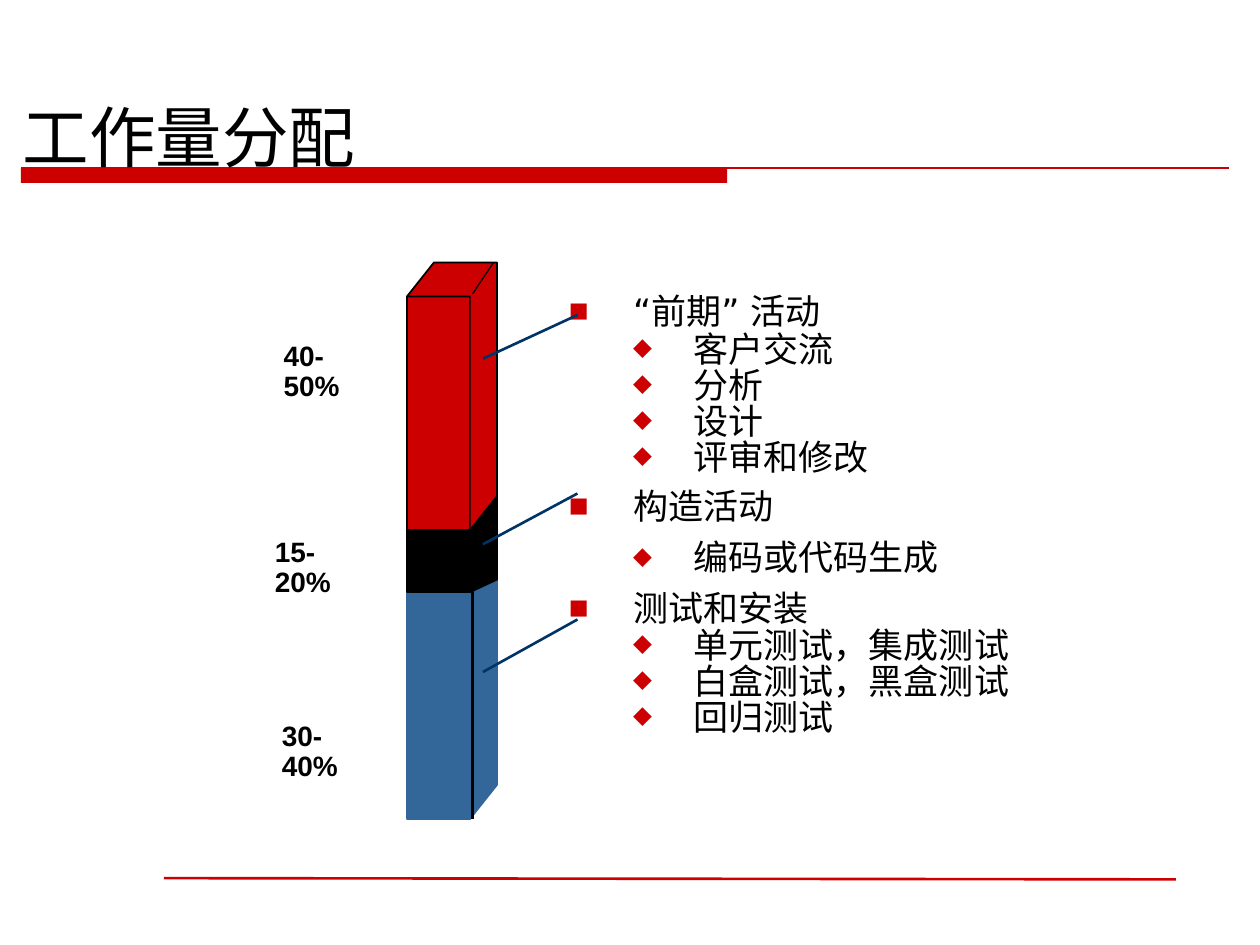
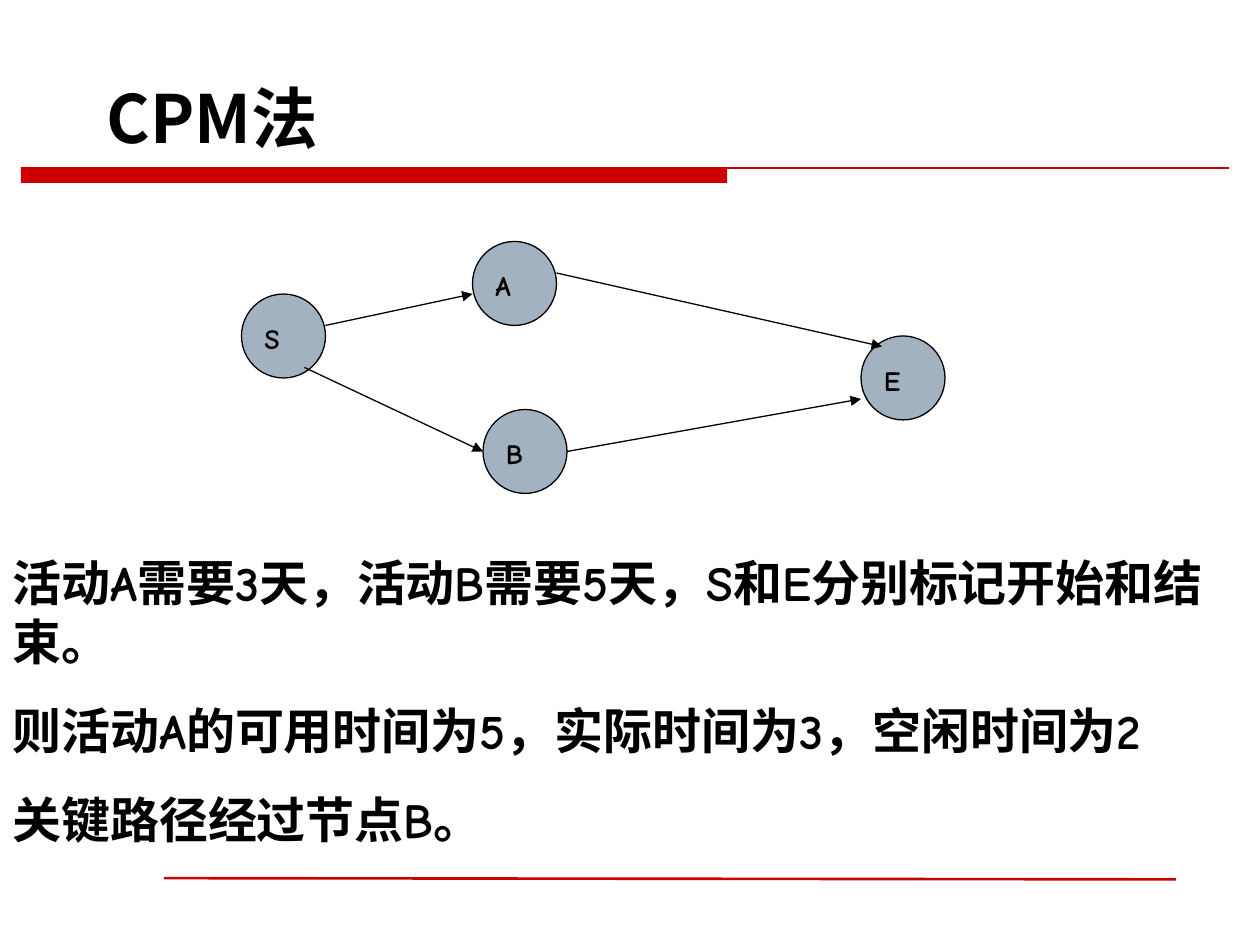
import pptx
import pptx.util
import pptx.dml.color
import pptx.enum.shapes
import pptx.enum.text
import pptx.oxml
import pptx.oxml.ns

Pt = pptx.util.Pt
RGB = pptx.dml.color.RGBColor.from_string
SHAPE = pptx.enum.shapes.MSO_SHAPE
ANCHOR = pptx.enum.text.MSO_ANCHOR
COLORS = {
    "red": "CC0000",
    "black": "000000",
    "blue": "336699",
    "navy": "003366",
    "node": "A3B2C1",
}
NAMESPACE = pptx.oxml.ns.nsdecls("a")


def add_text(slide, box, paragraphs, size, font, bold=False, wrap=True,
             anchor=ANCHOR.TOP, space_before=0, line_spacing=None):
    frame = slide.shapes.add_textbox(*[Pt(length) for length in box]).text_frame
    frame.word_wrap = wrap
    frame.vertical_anchor = anchor
    for index, words in enumerate(paragraphs):
        paragraph = frame.paragraphs[0] if index == 0 else frame.add_paragraph()
        if index and space_before:
            paragraph.space_before = Pt(space_before)
        if line_spacing:
            paragraph.line_spacing = line_spacing
        run = paragraph.add_run()
        run.text = words
        run.font.size = Pt(size)
        run.font.bold = bold
        run.font.color.rgb = RGB(COLORS["black"])
        run.font.name = font
        run.font._element.append(pptx.oxml.parse_xml(f'<a:ea {NAMESPACE} typeface="{font}"/>'))
    return frame


def add_line(slide, start, end, color, width, arrow=False):
    line = slide.shapes.add_connector(
        pptx.enum.shapes.MSO_CONNECTOR.STRAIGHT, *[Pt(length) for length in start + end])
    line.line.color.rgb = RGB(COLORS[color])
    line.line.width = Pt(width)
    if arrow:
        line.line._get_or_add_ln().append(
            pptx.oxml.parse_xml(f'<a:tailEnd {NAMESPACE} type="triangle"/>'))
    line._element.spPr.append(pptx.oxml.parse_xml(f"<a:effectLst {NAMESPACE}/>"))


deck = pptx.Presentation()
deck.slide_width = Pt(720)
deck.slide_height = Pt(540)

titles = [
    ("工作量分配", (6, 51, 410, 50), False),
    ("CPM法", (54, 0, 612, 90), True),
]
for title, box, bold in titles:
    slide = deck.slides.add_slide(deck.slide_layouts[6])
    band = slide.shapes.add_shape(SHAPE.RECTANGLE, Pt(12), Pt(96), Pt(403.5), Pt(8.5))
    band.shadow.inherit = False
    band.fill.solid()
    band.fill.fore_color.rgb = RGB(COLORS["red"])
    band.line.fill.background()
    add_line(slide, (12, 96), (702, 96), "red", 0.75)
    add_line(slide, (93.6, 501.8), (672, 502.5), "red", 1.5)
    heading = add_text(slide, box, [title], 38, "Noto Sans CJK SC", bold, anchor=ANCHOR.BOTTOM)
    heading.margin_bottom = Pt(0.5)

effort, network = deck.slides

activities = [
    (0, "“前期” 活动", None),
    (1, "客户交流", 0.65),
    (1, "分析", 0.65),
    (1, "设计", 0.65),
    (1, "评审和修改", 0.65),
    (0, "构造活动", None),
    (1, "编码或代码生成", None),
    (0, "测试和安装", None),
    (1, "单元测试，集成测试", 0.65),
    (1, "白盒测试，黑盒测试", 0.65),
    (1, "回归测试", 0.65),
]
bullets = [("■", 60, 36.7, -36.7), ("◆", 70, 71.3, -34.6)]
outline = add_text(effort, (318, 162, 280, 302), [words for _, words, _ in activities],
                   20, "DejaVu Sans", space_before=5)
for paragraph, (level, _, spacing) in zip(outline.paragraphs, activities):
    mark, percent, margin, indent = bullets[level]
    paragraph.level = level
    if spacing:
        paragraph.line_spacing = spacing
    properties = paragraph._p.get_or_add_pPr()
    properties.set("marL", str(Pt(margin)))
    properties.set("indent", str(Pt(indent)))
    for element in (
        f'<a:buClr {NAMESPACE}><a:srgbClr val="{COLORS["red"]}"/></a:buClr>',
        f'<a:buSzPct {NAMESPACE} val="{percent * 1000}"/>',
        f'<a:buFont {NAMESPACE} typeface="DejaVu Sans"/>',
        f'<a:buChar {NAMESPACE} char="{mark}"/>',
    ):
        properties.append(pptx.oxml.parse_xml(element))

left, width, slant = 232.5, 36, 15.5
right = left + width
segments = [
    (334, 468, 19.5, "blue", "blue"),
    (287, 338.4, 7.2, "black", "black"),
    (169.5, 303, 19.5, "red", "black"),
]
for top, bottom, depth, fill, edge in segments:
    front = effort.shapes.add_shape(
        SHAPE.RECTANGLE, Pt(left), Pt(top), Pt(width), Pt(bottom - top))
    corners = [
        (right + slant, bottom - depth),
        (right + slant, top - depth),
        (left + slant, top - depth),
        (left, top),
        (right, top),
    ]
    outline_builder = effort.shapes.build_freeform(Pt(right), Pt(bottom))
    outline_builder.add_line_segments([(Pt(x), Pt(y)) for x, y in corners], close=True)
    side = outline_builder.convert_to_shape()
    for face in (front, side):
        face.shadow.inherit = False
        face.fill.solid()
        face.fill.fore_color.rgb = RGB(COLORS[fill])
        face.line.color.rgb = RGB(COLORS[edge])
        face.line.width = Pt(1)

for share, x, y in [("40-50%", 155, 192), ("30-40%", 154, 409), ("15-20%", 150, 304)]:
    add_text(effort, (x, y, 69, 24.5), [share], 16, "Arial", True, wrap=False, line_spacing=0.9)

for list_y, bar_y in [(180, 205), (282, 311), (354, 384)]:
    add_line(effort, (330, list_y), (276, bar_y), "navy", 1.5)
add_line(effort, (270, 336), (270, 468), "black", 1.5)
add_line(effort, (270, 168), (282, 150), "black", 0.75)

nodes = [("S", 138, 168), ("A", 270, 138), ("B", 276, 234), ("E", 492, 192)]
for letter, x, y in nodes:
    node = network.shapes.add_shape(SHAPE.OVAL, Pt(x), Pt(y), Pt(48), Pt(48))
    node.shadow.inherit = False
    node.fill.solid()
    node.fill.fore_color.rgb = RGB(COLORS["node"])
    node.line.color.rgb = RGB(COLORS["black"])
    node.line.width = Pt(0.75)
    add_text(network, (x + 6, y + 12, 36, 26.5), [letter], 16, "Comic Neue", True)

dependencies = [
    ((186, 186), (270, 168)),
    ((318, 156), (504, 198)),
    ((174, 210), (276, 258)),
    ((324, 258), (492, 228)),
]
for start, end in dependencies:
    add_line(network, start, end, "black", 0.75, arrow=True)

explanation = [
    "活动A需要3天，活动B需要5天，S和E分别标记开始和结束。",
    "则活动A的可用时间为5，实际时间为3，空闲时间为2",
    "关键路径经过节点B。",
]
add_text(network, (0, 312, 720, 177), explanation, 28, "Comic Neue", True, space_before=17.5)

deck.save("out.pptx")
